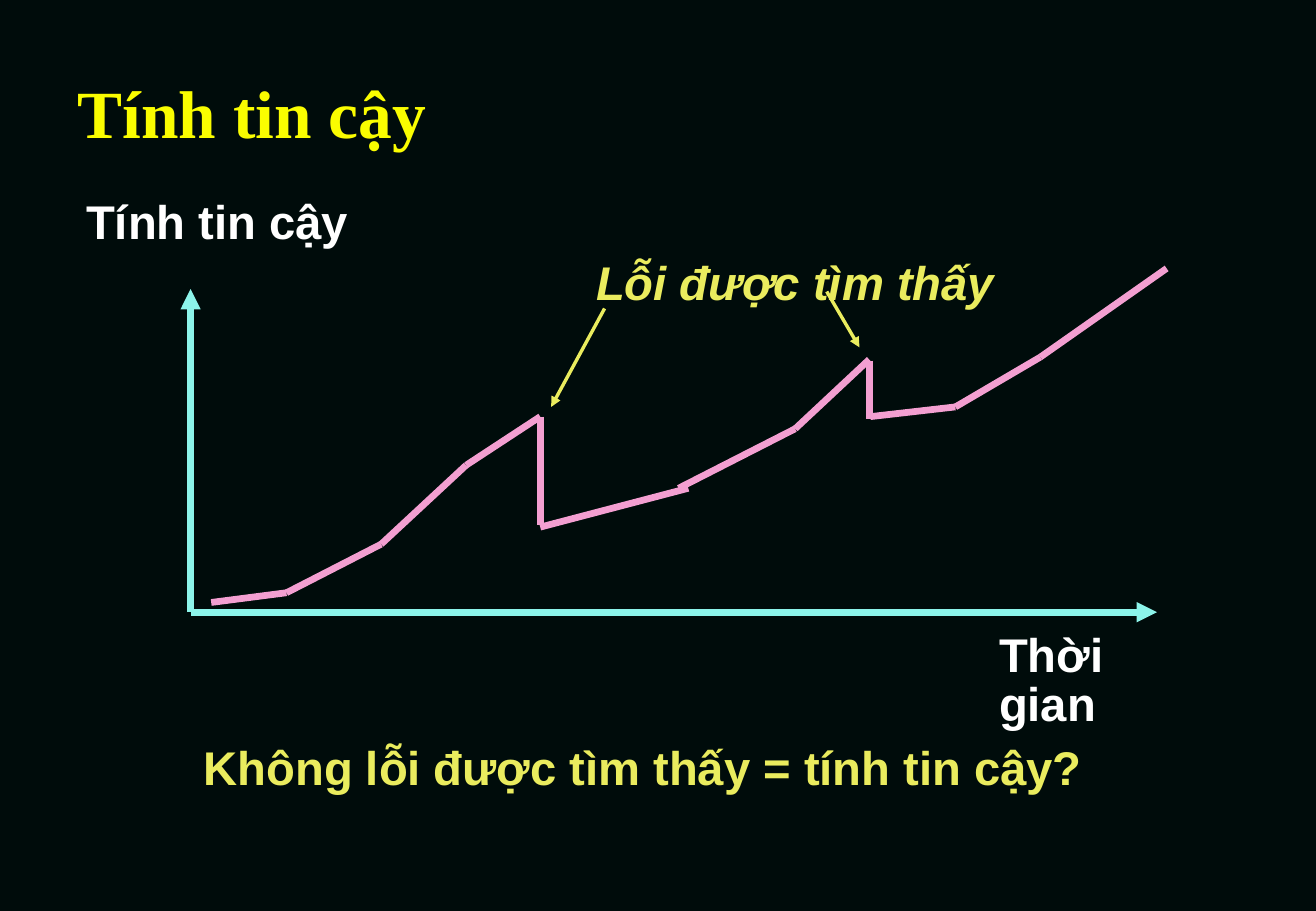
from dataclasses import dataclass
from itertools import pairwise

from lxml import etree
from pptx import Presentation
from pptx.dml.color import RGBColor
from pptx.enum import shapes, text
from pptx.oxml import ns
from pptx.util import Inches, Pt

BACKGROUND = "000C0B"
TITLE_YELLOW = "FAFD00"
YELLOW = "EAEC5E"
PINK = "F39FD1"
CYAN = "8CF4EA"
WHITE = "FFFFFF"

Point = tuple[float, float]


@dataclass(frozen=True)
class Arrow:
    start: Point
    end: Point
    color: str
    width: float


@dataclass(frozen=True)
class Label:
    words: str
    box: tuple[float, float, float, float]
    color: str
    italic: bool = False
    insets: Point = (0.07, 0.03)
    line_spacing: float = 0.87


RELIABILITY_CURVE: list[list[Point]] = [
    [(1.74, 4.96), (2.36, 4.88), (3.14, 4.48), (3.84, 3.83), (4.45, 3.43)],
    [(4.45, 3.43), (4.45, 4.32)],
    [(4.45, 4.34), (5.67, 4.02)],
    [(5.59, 4.02), (6.55, 3.53), (7.16, 2.96)],
    [(7.16, 2.97), (7.16, 3.45)],
    [(7.17, 3.43), (7.87, 3.35), (8.57, 2.94), (9.61, 2.21)],
]
ORIGIN = (1.57, 5.04)
ARROWS = [
    Arrow(ORIGIN, (9.53, 5.04), CYAN, 4),
    Arrow(ORIGIN, (1.57, 2.38), CYAN, 4),
    Arrow((4.98, 2.54), (4.54, 3.35), YELLOW, 2),
    Arrow((6.81, 2.4), (7.08, 2.86), YELLOW, 2),
]
LABELS = [
    Label("Tính tin cậy", (0.64, 1.62, 2.3, 0.46), WHITE),
    Label("Thời gian", (8.16, 5.18, 1.9, 0.46), WHITE),
    Label("Lỗi được tìm thấy", (4.84, 2.12, 3.42, 0.46), YELLOW, italic=True),
    Label("Không lỗi được tìm thấy = tính tin cậy?", (1.58, 6.03, 7.44, 0.57),
          YELLOW, insets=(0.1, 0.05), line_spacing=1.0),
]


def set_color(color_format, value: str) -> None:
    """Give a fill, line fill or font fill one solid colour."""
    color_format.solid()
    color_format.fore_color.rgb = RGBColor.from_string(value)


def apply_format(target, values: dict) -> None:
    for name, value in values.items():
        setattr(target, name, value)


def format_frame(frame, insets: Point, **values) -> None:
    across, down = map(Inches, insets)
    apply_format(frame, {"margin_left": across, "margin_right": across,
                         "margin_top": down, "margin_bottom": down, **values})


def write(frame, words: str, color: str, line_spacing: float, **font_values) -> None:
    paragraph = frame.paragraphs[0]
    apply_format(paragraph, {"alignment": text.PP_ALIGN.LEFT,
                             "line_spacing": line_spacing})
    run = paragraph.add_run()
    run.text = words
    apply_format(run.font, {"bold": True, **font_values})
    set_color(run.font.fill, color)


def draw_line(slide, start: Point, end: Point, color: str, width: float):
    line = slide.shapes.add_connector(
        shapes.MSO_CONNECTOR.STRAIGHT, *map(Inches, (*start, *end)))
    set_color(line.line.fill, color)
    line.line.width = Pt(width)
    etree.SubElement(line._element.spPr, ns.qn("a:effectLst"))
    return line


def draw_arrow(slide, arrow: Arrow) -> None:
    line = draw_line(slide, arrow.start, arrow.end, arrow.color, arrow.width)
    outline = line._element.spPr.find(ns.qn("a:ln"))
    etree.SubElement(outline, ns.qn("a:tailEnd"), type="triangle")


def draw_label(slide, label: Label) -> None:
    frame = slide.shapes.add_textbox(*map(Inches, label.box)).text_frame
    format_frame(frame, label.insets, word_wrap=False,
                 auto_size=text.MSO_AUTO_SIZE.SHAPE_TO_FIT_TEXT)
    write(frame, label.words, label.color, label.line_spacing,
          name="Arial", size=Pt(28), italic=label.italic)


def fill_title(slide) -> None:
    title = slide.shapes.title
    apply_format(title, {"left": Inches(0.54), "top": Inches(0.58),
                         "width": Inches(9.21), "height": Inches(0.67)})
    format_frame(title.text_frame, (0.1, 0.05), word_wrap=True,
                 auto_size=text.MSO_AUTO_SIZE.NONE,
                 vertical_anchor=text.MSO_ANCHOR.MIDDLE)
    write(title.text_frame, "Tính tin cậy", TITLE_YELLOW, 1.0,
          name="Times New Roman", size=Pt(40))


def main() -> None:
    presentation = Presentation()
    apply_format(presentation, {"slide_width": Inches(10.84),
                                "slide_height": Inches(7.5)})
    title_only = presentation.slide_layouts.get_by_name("Title Only")
    slide = presentation.slides.add_slide(title_only)
    set_color(slide.background.fill, BACKGROUND)

    fill_title(slide)
    for stretch in RELIABILITY_CURVE:
        for start, end in pairwise(stretch):
            draw_line(slide, start, end, PINK, 4)
    for arrow in ARROWS:
        draw_arrow(slide, arrow)
    for label in LABELS:
        draw_label(slide, label)
    presentation.save("out.pptx")


if __name__ == "__main__":
    main()
